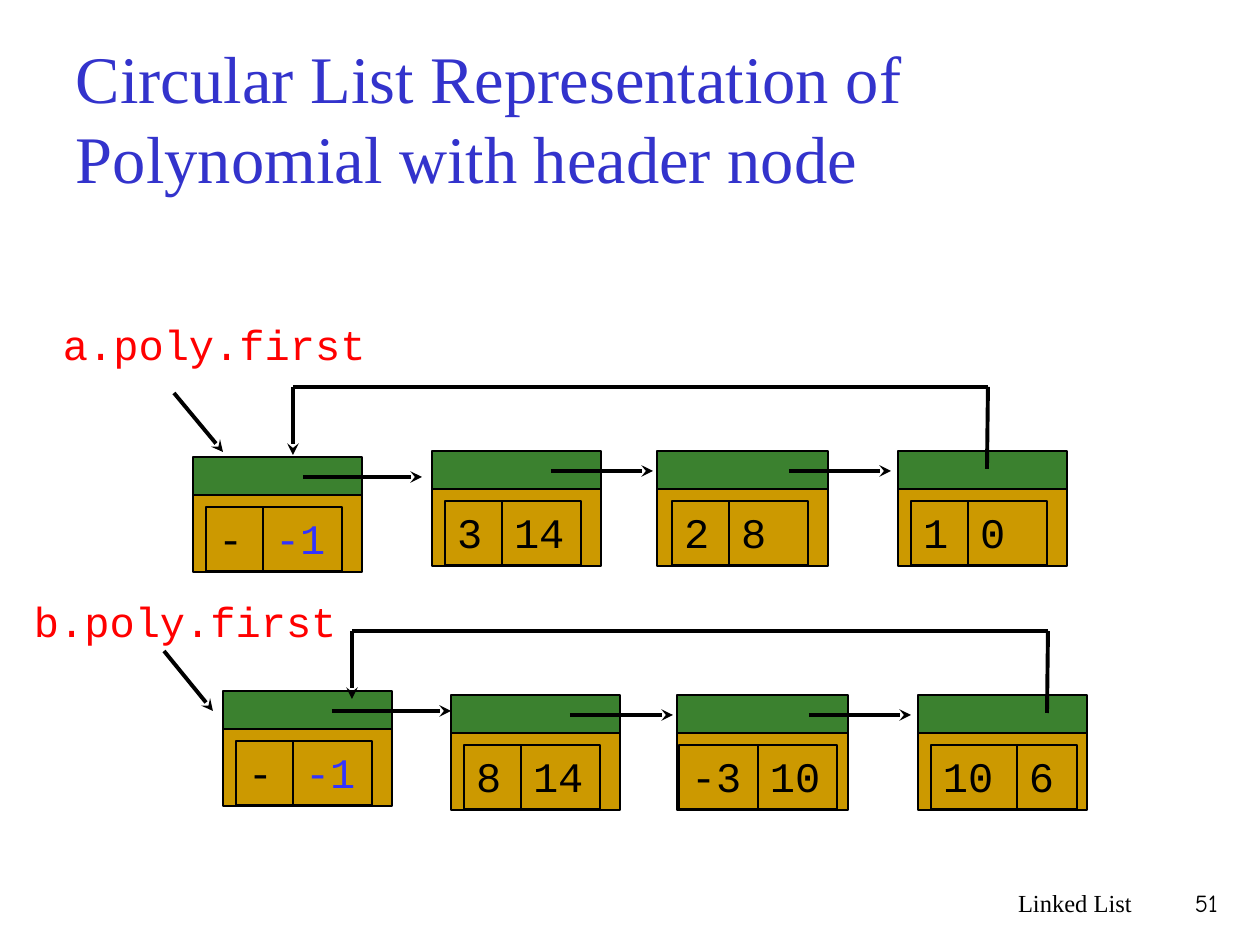
import pptx
import pptx.dml.color
import pptx.enum.shapes
import pptx.enum.text
import pptx.oxml
import pptx.oxml.ns
import pptx.util
from dataclasses import dataclass

PX_PER_INCH = 126
ALIGN = pptx.enum.text.PP_ALIGN
ANCHOR = pptx.enum.text.MSO_ANCHOR


@dataclass(frozen=True)
class Theme:
    title: str = "3333CC"
    label: str = "FF0000"
    ink: str = "000000"
    header_value: str = "3333FF"
    link_field: str = "3B812F"
    data_field: str = "CC9900"
    serif: str = "Times New Roman"
    mono: str = "Courier New"
    hand: str = "Comic Neue"
    title_size: int = 38
    code_size: int = 24
    footer_size: int = 14
    border: float = 1
    arrow: float = 2.25


THEME = Theme()
LINK_HEIGHT = 38
DATA_HEIGHT = 76
CELL_OFFSET = 50
CELL_HEIGHT = 64

LISTS = [
    {
        "label": ("a.poly.first", 54, 314),
        "nodes": [
            (193, 457, 169, 13, [("-", 57), ("-1", 79)]),
            (432, 451, 169, 13, [("3", 57), ("14", 79)]),
            (657, 451, 171, 15, [("2", 57), ("8", 79)]),
            (898, 451, 169, 13, [("1", 57), ("0", 79)]),
        ],
        "arrows": [
            (174, 393, 223, 452),
            (303, 477, 422, 477),
            (551, 471, 653, 471),
            (789, 471, 891, 471),
        ],
        "loop": [(987, 469), (988, 387), (293, 387), (293, 455)],
    },
    {
        "label": ("b.poly.first", 25, 591),
        "nodes": [
            (223, 691, 169, 13, [("-", 57), ("-1", 79)]),
            (451, 695, 169, 13, [("8", 57), ("14", 79)]),
            (677, 695, 171, 2, [("-3", 79), ("10", 79)]),
            (918, 695, 169, 13, [("10", 86), ("6", 60)]),
        ],
        "arrows": [
            (164, 651, 213, 711),
            (332, 711, 451, 711),
            (570, 715, 673, 715),
            (809, 715, 911, 715),
        ],
        "loop": [(1047, 713), (1048, 631), (352, 631), (352, 699)],
    },
]


def px(length):
    return pptx.util.Emu(round(length * 914400 / PX_PER_INCH))


def rgb(value):
    return pptx.dml.color.RGBColor.from_string(value)


def write_text(shape, text, *, font, size, color, align=ALIGN.LEFT,
               anchor=ANCHOR.TOP, margins=(13, 6, 13, 6), wrap=True):
    frame = shape.text_frame
    frame.word_wrap = wrap
    frame.auto_size = pptx.enum.text.MSO_AUTO_SIZE.NONE
    frame.vertical_anchor = anchor
    (frame.margin_left, frame.margin_top,
     frame.margin_right, frame.margin_bottom) = map(px, margins)
    frame.text = text
    paragraph = frame.paragraphs[0]
    paragraph.alignment = align
    for run in paragraph.runs:
        run.font.name = font
        run.font.size = pptx.util.Pt(size)
        run.font.color.rgb = rgb(color)


def add_text(slide, text, left, top, width, height, **text_format):
    shape = slide.shapes.add_textbox(*map(px, (left, top, width, height)))
    write_text(shape, text, **text_format)


def add_box(slide, left, top, width, height, fill=None):
    shape = slide.shapes.add_shape(
        pptx.enum.shapes.MSO_SHAPE.RECTANGLE, *map(px, (left, top, width, height)))
    shape.shadow.inherit = False
    if fill:
        shape.fill.solid()
        shape.fill.fore_color.rgb = rgb(fill)
    else:
        shape.fill.background()
    shape.line.color.rgb = rgb(THEME.ink)
    shape.line.width = pptx.util.Pt(THEME.border)
    return shape


def add_line(slide, left, top, right, bottom, arrowhead=True):
    connector = slide.shapes.add_connector(
        pptx.enum.shapes.MSO_CONNECTOR.STRAIGHT, *map(px, (left, top, right, bottom)))
    connector.line.color.rgb = rgb(THEME.ink)
    connector.line.width = pptx.util.Pt(THEME.arrow)
    if arrowhead:
        tail = pptx.oxml.parse_xml(
            f'<a:tailEnd {pptx.oxml.ns.nsdecls("a")} type="stealth"/>')
        connector.line._get_or_add_ln().append(tail)
    connector._element.spPr.append(
        pptx.oxml.parse_xml(f'<a:effectLst {pptx.oxml.ns.nsdecls("a")}/>'))


def add_node(slide, left, top, width, inset, values):
    add_box(slide, left, top + LINK_HEIGHT, width, DATA_HEIGHT + 1, THEME.data_field)
    add_box(slide, left, top, width, LINK_HEIGHT, THEME.link_field)
    cell_left = left + inset
    for text, cell_width in values:
        cell = add_box(slide, cell_left, top + CELL_OFFSET, cell_width, CELL_HEIGHT)
        color = THEME.header_value if text == "-1" else THEME.ink
        write_text(cell, text, font=THEME.mono, size=THEME.code_size, color=color,
                   margins=(12, 6, 0, 0), wrap=False)
        cell_left += cell_width


def add_loop(slide, points):
    segments = list(zip(points, points[1:]))
    for start, end in segments:
        add_line(slide, *start, *end, arrowhead=end == points[-1])


def add_circular_list(slide, circular_list):
    text, left, top = circular_list["label"]
    add_text(slide, text, left, top, 339, 83, font=THEME.mono,
             size=THEME.code_size, color=THEME.label, margins=(9, 4, 9, 5))
    for node in circular_list["nodes"]:
        add_node(slide, *node)
    for arrow in circular_list["arrows"]:
        add_line(slide, *arrow)
    add_loop(slide, circular_list["loop"])


def add_title(slide, text):
    title = slide.shapes.title
    title.left, title.top, title.width, title.height = map(px, (63, 38, 1134, 158))
    write_text(title, text, font=THEME.serif, size=THEME.title_size,
               color=THEME.title, anchor=ANCHOR.MIDDLE)


def main():
    presentation = pptx.Presentation()
    presentation.slide_width = px(1260)
    presentation.slide_height = px(945)
    slide = presentation.slides.add_slide(presentation.slide_layouts[5])
    add_title(slide, "Circular List Representation of\vPolynomial with header node")
    for circular_list in LISTS:
        add_circular_list(slide, circular_list)
    add_text(slide, "Linked List", 746, 882, 399, 63, font=THEME.serif,
             size=THEME.footer_size, color=THEME.ink, align=ALIGN.RIGHT)
    add_text(slide, "51", 1145, 882, 86, 63, font=THEME.hand,
             size=THEME.footer_size, color=THEME.ink, align=ALIGN.RIGHT)
    presentation.save("out.pptx")


if __name__ == "__main__":
    main()
